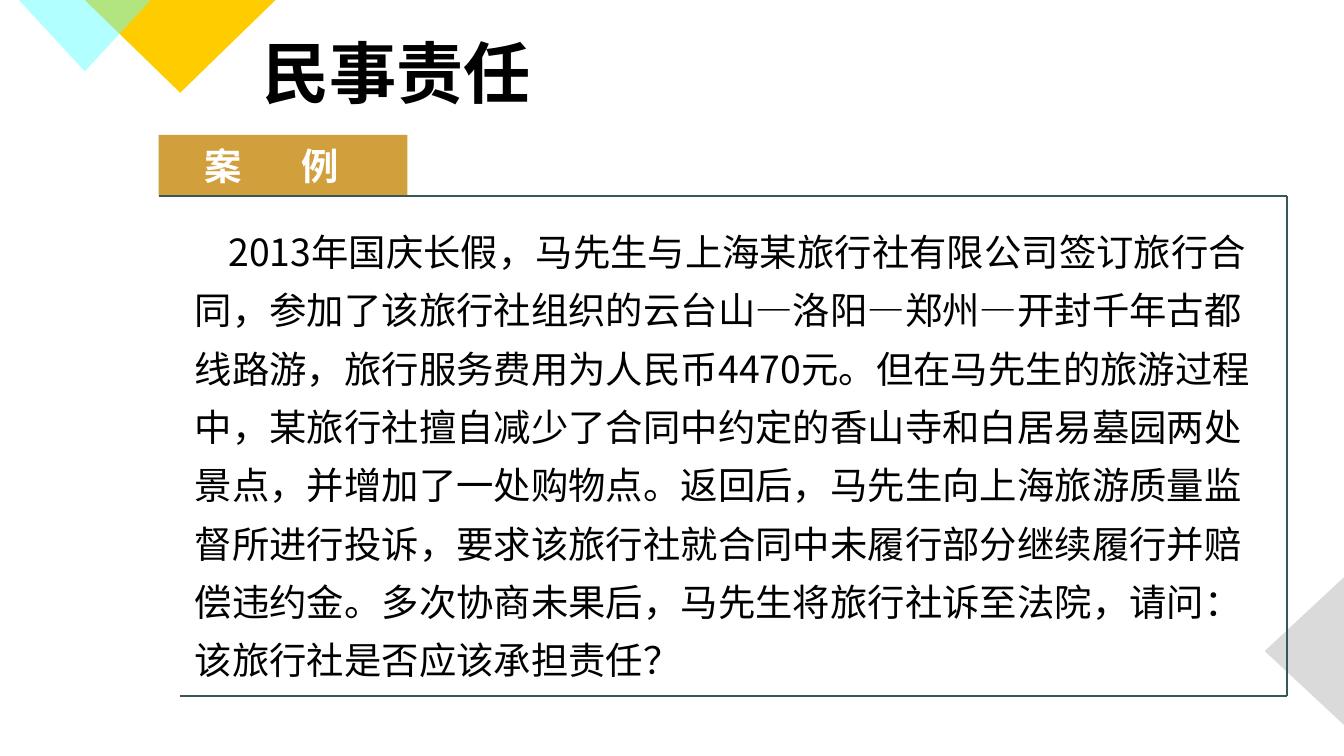
from dataclasses import dataclass

from lxml import etree
from pptx import Presentation
from pptx.dml.color import RGBColor
from pptx.enum import shapes, text
from pptx.oxml import ns
from pptx.util import Pt


@dataclass(frozen=True)
class Theme:
    ink: str = "000000"
    white: str = "FFFFFF"
    line: str = "365958"
    tag: str = "D19F3C"
    gold: str = "FFCC00"
    cyan: str = "66FFFF"
    gray: str = "B7B7B7"
    sans: str = "Noto Sans CJK SC"
    label: str = "Arial"
    head: int = 36
    body: int = 20


T = Theme()
CASE = (
    "2013年国庆长假，马先生与上海某旅行社有限公司签订旅行合同，"
    "参加了该旅行社组织的云台山—洛阳—郑州—开封千年古都线路游，"
    "旅行服务费用为人民币4470元。但在马先生的旅游过程中，"
    "某旅行社擅自减少了合同中约定的香山寺和白居易墓园两处景点，"
    "并增加了一处购物点。返回后，马先生向上海旅游质量监督所进行投诉，"
    "要求该旅行社就合同中未履行部分继续履行并赔偿违约金。"
    "多次协商未果后，马先生将旅行社诉至法院，"
    "请问：该旅行社是否应该承担责任？"
)


def add_sub(node, tag, **attrs):
    return etree.SubElement(node, ns.qn(tag), attrs)


def add_shape(slide, kind, box, color, alpha=100, turn=0):
    shape = slide.shapes.add_shape(kind, *map(Pt, box))
    shape.shadow.inherit = False
    shape.rotation = turn
    shape.fill.solid()
    shape.fill.fore_color.rgb = RGBColor.from_string(color)
    shape.line.fill.background()
    if alpha < 100:
        tint = shape.fill._xPr.find(".//" + ns.qn("a:srgbClr"))
        add_sub(tint, "a:alpha", val=str(alpha * 1000))
    return shape


def add_rule(slide, x1, y1, x2, y2):
    rule = slide.shapes.add_connector(
        shapes.MSO_CONNECTOR.STRAIGHT, *map(Pt, (x1, y1, x2, y2)))
    rule.line.color.rgb = RGBColor.from_string(T.line)
    rule.line.width = Pt(1)
    add_sub(rule._element.spPr, "a:effectLst")


def set_text(shape, words, size, color, face, bold=False, left=7.2):
    """Fill the frame with one left-aligned paragraph and return it."""
    frame = shape.text_frame
    frame.word_wrap = True
    frame.auto_size = text.MSO_AUTO_SIZE.NONE
    frame.vertical_anchor = text.MSO_ANCHOR.MIDDLE
    frame.margin_left, frame.margin_right = Pt(left), Pt(7.2)
    frame.margin_top = frame.margin_bottom = Pt(0)
    para = frame.paragraphs[0]
    para.text = words
    para.alignment = text.PP_ALIGN.LEFT
    font = para.font
    font.size, font.bold, font.name = Pt(size), bold, face
    font.color.rgb = RGBColor.from_string(color)
    add_sub(font._element, "a:ea", typeface=T.sans)
    return para


def draw_decor(slide, wide):
    """Triangles that hang from the top and right edges."""
    kind = shapes.MSO_SHAPE.ISOSCELES_TRIANGLE
    add_shape(slide, kind, (45.4, 0, 102.2, 49.7), T.gold, turn=180)
    add_shape(slide, kind, (10.1, 0, 70.6, 38.2), T.cyan, 50, 180)
    # The box is given before its quarter turn
    base, rise, mid = 79.2, 42.5, 348.8
    box = (wide - (rise + base) / 2, mid - rise / 2, base, rise)
    add_shape(slide, kind, box, T.gray, 50, 270)


def draw_title(slide, box):
    title = slide.shapes.title
    title.left, title.top, title.width, title.height = map(Pt, box)
    set_text(title, "民事责任", T.head, T.ink, T.sans, True)


def draw_case(slide, box):
    """Tag, open frame and case text."""
    left, top, wide, high = box
    right, low = left + wide, top + high
    tag_high = 32.6
    edge = top + tag_high

    # Tag
    tag = add_shape(slide, shapes.MSO_SHAPE.RECTANGLE,
                    (left, top, 133.2, tag_high), T.tag)
    para = set_text(tag, "案\t例", T.body, T.white, T.label, True, 24.5)
    tabs = etree.Element(ns.qn("a:tabLst"))
    add_sub(tabs, "a:tab", pos=str(Pt(52)), algn="l")
    para._p.pPr.insert(0, tabs)

    # Frame
    add_rule(slide, left, edge, right, edge)
    add_rule(slide, right, edge, right, low)
    add_rule(slide, left + 11.5, low, right, low)

    # Case text
    note = slide.shapes.add_textbox(
        *map(Pt, (left + 12.2, edge + 15.4, 586, 240.5)))
    para = set_text(note, CASE, T.body, T.ink, T.sans)
    para.line_spacing = 1.3
    para._p.pPr.set("marL", "0")
    para._p.pPr.set("indent", str(Pt(18)))


def main():
    deck = Presentation()
    deck.slide_width, deck.slide_height = Pt(720), Pt(405)
    slide = deck.slides.add_slide(deck.slide_layouts[5])
    draw_decor(slide, 720)
    draw_case(slide, (85, 72.3, 604.6, 300.7))
    draw_title(slide, (133.2, 19.4, 517.7, 38.2))
    deck.save("out.pptx")


if __name__ == "__main__":
    main()
